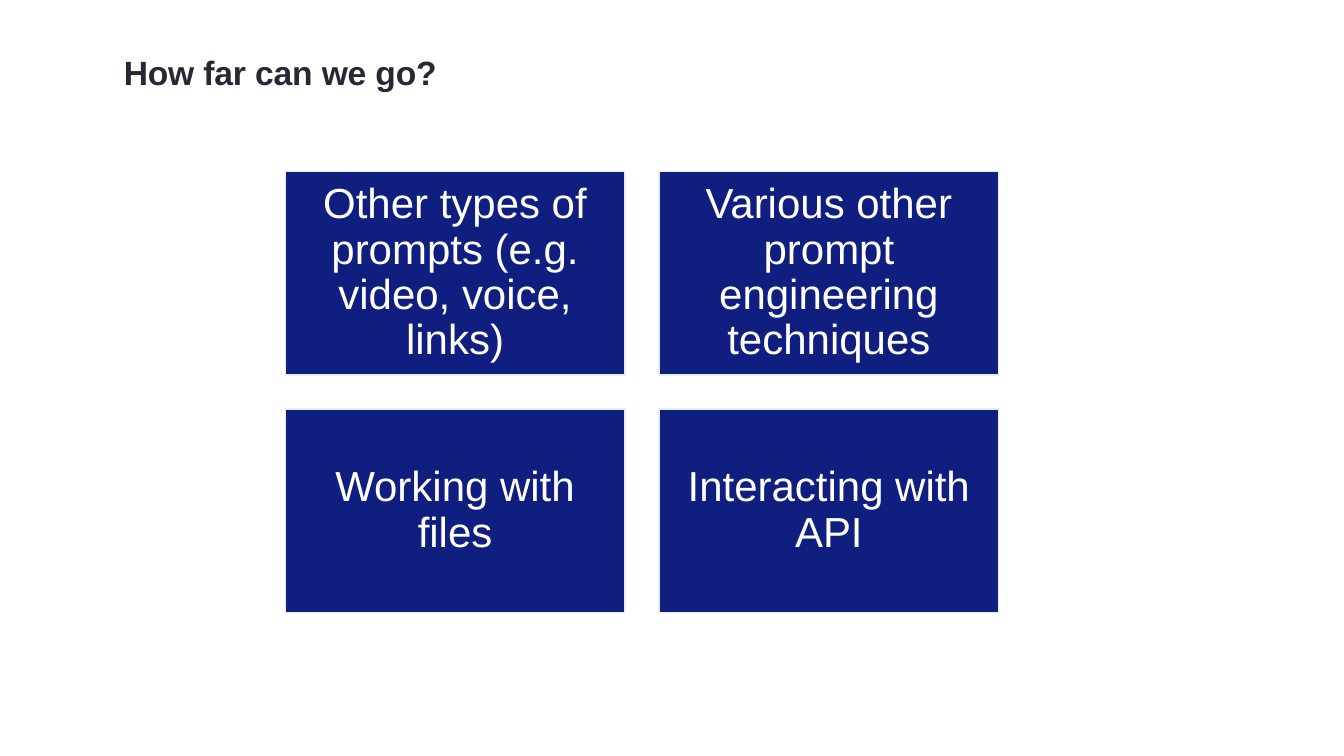
from dataclasses import dataclass

from pptx import Presentation
from pptx import util as u
from pptx.dml.color import RGBColor
from pptx.enum import shapes, text
from pptx.slide import Slide

NAVY = RGBColor(0x10, 0x1E, 0x7F)
PALE = RGBColor(0xE5, 0xEF, 0xF0)
WHITE = RGBColor(0xFF, 0xFF, 0xFF)
INK = RGBColor(0x26, 0x28, 0x36)
FONT = "Arial"

GRID_LEFT, GRID_TOP = u.Cm(7.19), u.Cm(4.32)
CARD_WIDTH, CARD_HEIGHT = u.Cm(8.56), u.Cm(5.13)
GAP = u.Cm(0.86)


@dataclass(frozen=True)
class Card:
    label: str
    row: int
    col: int


CARDS = [
    Card("Other types of prompts (e.g. video, voice, links)", 0, 0),
    Card("Various other prompt engineering techniques", 0, 1),
    Card("Working with files", 1, 0),
    Card("Interacting with API", 1, 1),
]


def set_margins(tf: text.MSO_ANCHOR, margin: u.Length) -> None:
    tf.margin_left = tf.margin_top = tf.margin_right = tf.margin_bottom = margin


def style_font(font, size: int, color: RGBColor, bold: bool = False) -> None:
    font.name = FONT
    font.size = u.Pt(size)
    font.bold = bold
    font.color.rgb = color


def add_title(s: Slide, title: str) -> None:
    sp = s.shapes.add_textbox(u.Cm(3.12), u.Cm(1.3), u.Cm(29.69), u.Cm(1.02))
    tf = sp.text_frame
    tf.word_wrap = True
    set_margins(tf, u.Cm(0))
    p = tf.paragraphs[0]
    p.text = title
    style_font(p.font, 24, INK, bold=True)
    # Tighten the letters by a tenth of a point
    p.runs[0].font._element.set("spc", "-10")


def add_card(s: Slide, card: Card) -> None:
    sp = s.shapes.add_shape(
        shapes.MSO_SHAPE.RECTANGLE,
        GRID_LEFT + card.col * (CARD_WIDTH + GAP),
        GRID_TOP + card.row * (CARD_HEIGHT + GAP),
        CARD_WIDTH,
        CARD_HEIGHT,
    )
    sp.shadow.inherit = False
    sp.fill.solid()
    sp.fill.fore_color.rgb = NAVY
    sp.line.color.rgb = PALE
    sp.line.width = u.Pt(1)
    tf = sp.text_frame
    tf.word_wrap = True
    tf.vertical_anchor = text.MSO_ANCHOR.MIDDLE
    set_margins(tf, u.Cm(0.3))
    p = tf.paragraphs[0]
    p.text = card.label
    p.alignment = text.PP_ALIGN.CENTER
    p.line_spacing = 0.9
    style_font(p.font, 30, WHITE)


def main() -> None:
    prs = Presentation()
    prs.slide_width, prs.slide_height = u.Cm(33.87), u.Cm(19.05)
    s = prs.slides.add_slide(prs.slide_layouts[6])
    add_title(s, "How far can we go?")
    for card in CARDS:
        add_card(s, card)
    prs.save("out.pptx")


if __name__ == "__main__":
    main()
